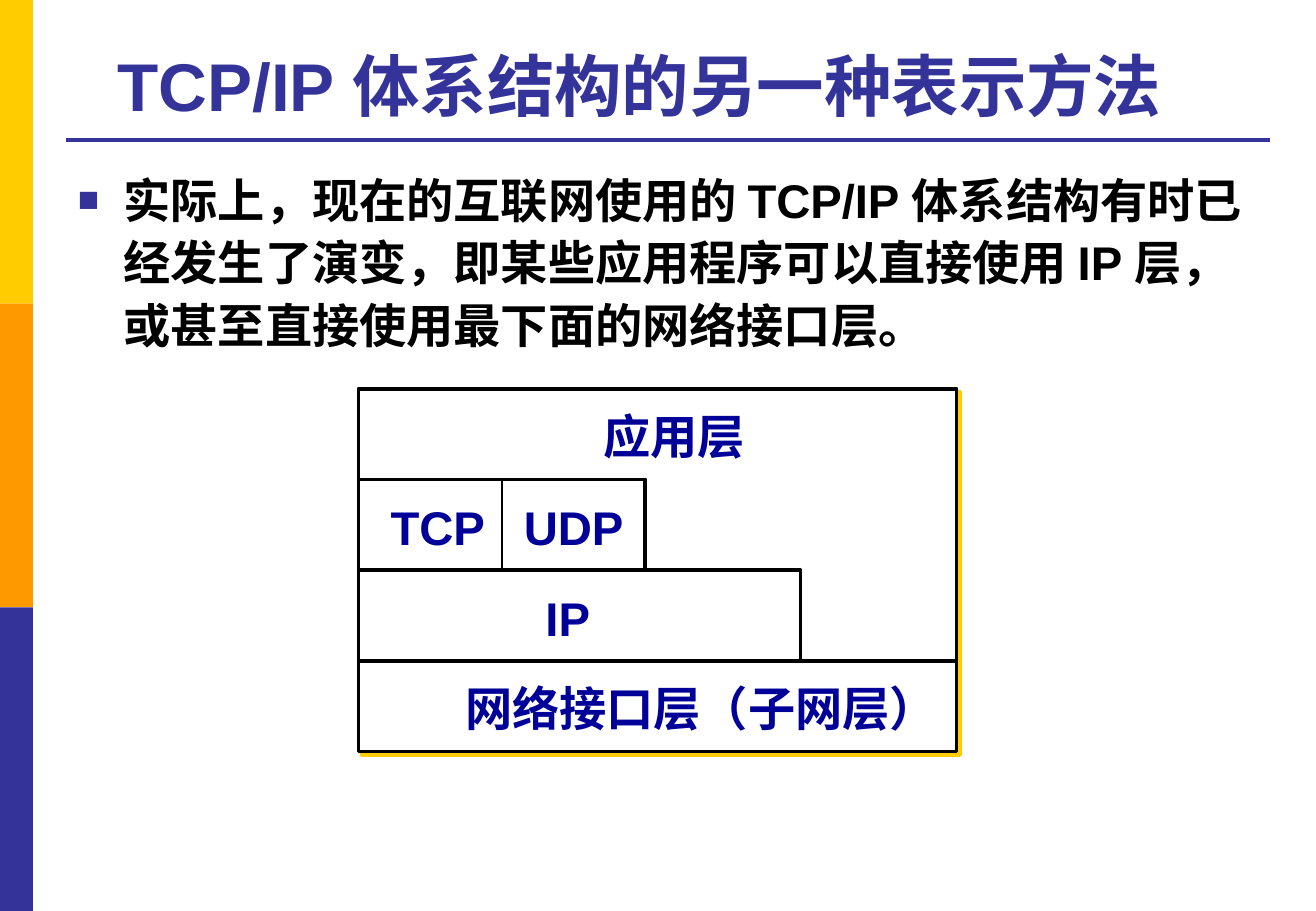
from lxml import etree
from pptx import Presentation
from pptx.dml.color import RGBColor
from pptx.enum.lang import MSO_LANGUAGE_ID
from pptx.enum.shapes import MSO_CONNECTOR, MSO_SHAPE
from pptx.enum.text import MSO_ANCHOR, PP_ALIGN
from pptx.oxml.ns import qn
from pptx.util import Pt

RECT = MSO_SHAPE.RECTANGLE
STRAIGHT = MSO_CONNECTOR.STRAIGHT
TOP, MIDDLE, BOTTOM = MSO_ANCHOR.TOP, MSO_ANCHOR.MIDDLE, MSO_ANCHOR.BOTTOM
LEFT, CENTER = PP_ALIGN.LEFT, PP_ALIGN.CENTER
CHINESE = MSO_LANGUAGE_ID.SIMPLIFIED_CHINESE

YELLOW = RGBColor(0xFF, 0xCC, 0x00)
ORANGE = RGBColor(0xFF, 0x99, 0x00)
INDIGO = RGBColor(0x33, 0x33, 0x99)
NAVY = RGBColor(0x00, 0x00, 0x99)
BLACK = RGBColor(0x00, 0x00, 0x00)
WHITE = RGBColor(0xFF, 0xFF, 0xFF)

SLIDE_W, SLIDE_H = 780, 540


def place(shape, x, y, w, h):
    shape.left, shape.top, shape.width, shape.height = Pt(x), Pt(y), Pt(w), Pt(h)


def write(shape, text, size=28, color=BLACK, align=LEFT, anchor=TOP):
    tf = shape.text_frame
    tf.word_wrap = True
    tf.vertical_anchor = anchor
    p = tf.paragraphs[0]
    p.alignment = align
    r = p.add_run()
    r.text = text
    font = r.font
    font.name, font.size, font.bold = "Arial", Pt(size), True
    font.color.rgb = color
    font.language_id = CHINESE
    return p


def add_rect(s, x, y, w, h, fill, line=None):
    sp = s.shapes.add_shape(RECT, Pt(x), Pt(y), Pt(w), Pt(h))
    sp.shadow.inherit = False
    sp.fill.solid()
    sp.fill.fore_color.rgb = fill
    if line is None:
        sp.line.fill.background()
    else:
        sp.line.color.rgb = line
        sp.line.width = Pt(2.25)
    return sp


def add_line(s, x1, y1, x2, y2, color=BLACK, width=2.25):
    line = s.shapes.add_connector(STRAIGHT, Pt(x1), Pt(y1), Pt(x2), Pt(y2))
    line.line.color.rgb = color
    line.line.width = Pt(width)
    etree.SubElement(line._element.spPr, qn("a:effectLst"))


def add_step(s, x, y, w, h):
    """Draw the top and right edges of a layer that stops short of the frame."""
    builder = s.shapes.build_freeform(Pt(x), Pt(y), scale=1.0)
    builder.add_line_segments([(Pt(x + w), Pt(y)), (Pt(x + w), Pt(y + h))], close=False)
    sp = builder.convert_to_shape()
    sp.shadow.inherit = False
    sp.fill.background()
    sp.line.color.rgb = BLACK
    sp.line.width = Pt(2.25)


def add_offset_shadow(sp, color):
    effects = sp._element.spPr.find(qn("a:effectLst"))
    shadow = etree.SubElement(effects, qn("a:outerShdw"), blurRad="0",
                              dist=str(Pt(2.8)), dir="2700000", algn="ctr", rotWithShape="0")
    etree.SubElement(shadow, qn("a:srgbClr"), val=str(color))


def set_bullet(p, char, color, percent, indent):
    pPr = p._p.get_or_add_pPr()
    pPr.set("marL", str(Pt(indent)))
    pPr.set("indent", str(-Pt(indent)))
    bu_color = etree.SubElement(pPr, qn("a:buClr"))
    etree.SubElement(bu_color, qn("a:srgbClr"), val=str(color))
    etree.SubElement(pPr, qn("a:buSzPct"), val=str(percent * 1000))
    etree.SubElement(pPr, qn("a:buFont"), typeface="Arial")
    etree.SubElement(pPr, qn("a:buChar"), char=char)


def add_sidebar(s, x, y, w, h):
    colors = (YELLOW, ORANGE, INDIGO)
    band = h / len(colors)
    for i, color in enumerate(colors):
        add_rect(s, x, y + i * band, w, band, color)


def add_title(s, x, y, w, h):
    title = s.shapes.title
    place(title, x, y, w, h)
    write(title, "TCP/IP 体系结构的另一种表示方法", size=40, color=INDIGO,
          align=CENTER, anchor=BOTTOM)
    add_line(s, x, y + h + 5, x + 714, y + h + 5, INDIGO)


def add_body(s, x, y, w, h):
    body = s.placeholders[1]
    place(body, x, y, w, h)
    p = write(body, "实际上，现在的互联网使用的 TCP/IP 体系结构有时已经发生了演变，"
                    "即某些应用程序可以直接使用 IP 层，或甚至直接使用最下面的网络接口层。")
    p.line_spacing = 1.1
    p.space_before = Pt(6)
    set_bullet(p, "■", INDIGO, 75, 27)


def add_layer_diagram(s, x, y, w, h):
    row = h / 4
    transport_w, ip_w = 170, 262
    add_offset_shadow(add_rect(s, x, y, w, h, WHITE, BLACK), YELLOW)
    add_line(s, x, y + 3 * row, x + w, y + 3 * row)
    add_step(s, x, y + 2 * row, ip_w, row)
    add_step(s, x, y + row, transport_w, row)
    middle = x + transport_w / 2
    add_line(s, middle, y + row, middle, y + 2 * row, width=1.5)

    # text, row, centre from the left edge, width
    labels = (("应用层", 0, 187, 110), ("TCP", 1, 47, 74), ("UDP", 1, 127.5, 80),
              ("IP", 2, 124, 60), ("网络接口层（子网层）", 3, 203, 300))
    for text, i, centre, width in labels:
        box = s.shapes.add_textbox(Pt(x + centre - width / 2), Pt(y + i * row + 1),
                                   Pt(width), Pt(row))
        write(box, text, color=NAVY, align=CENTER, anchor=MIDDLE)


def main():
    prs = Presentation()
    prs.slide_width, prs.slide_height = Pt(SLIDE_W), Pt(SLIDE_H)
    s = prs.slides.add_slide(prs.slide_layouts[1])
    add_sidebar(s, 0, 0, 19.5, SLIDE_H)
    add_title(s, 39, 15, 680, 63)
    add_body(s, 39, 94.5, 714, 389)
    add_layer_diagram(s, 212.5, 230.5, 354.5, 215)
    prs.save("out.pptx")


if __name__ == "__main__":
    main()
